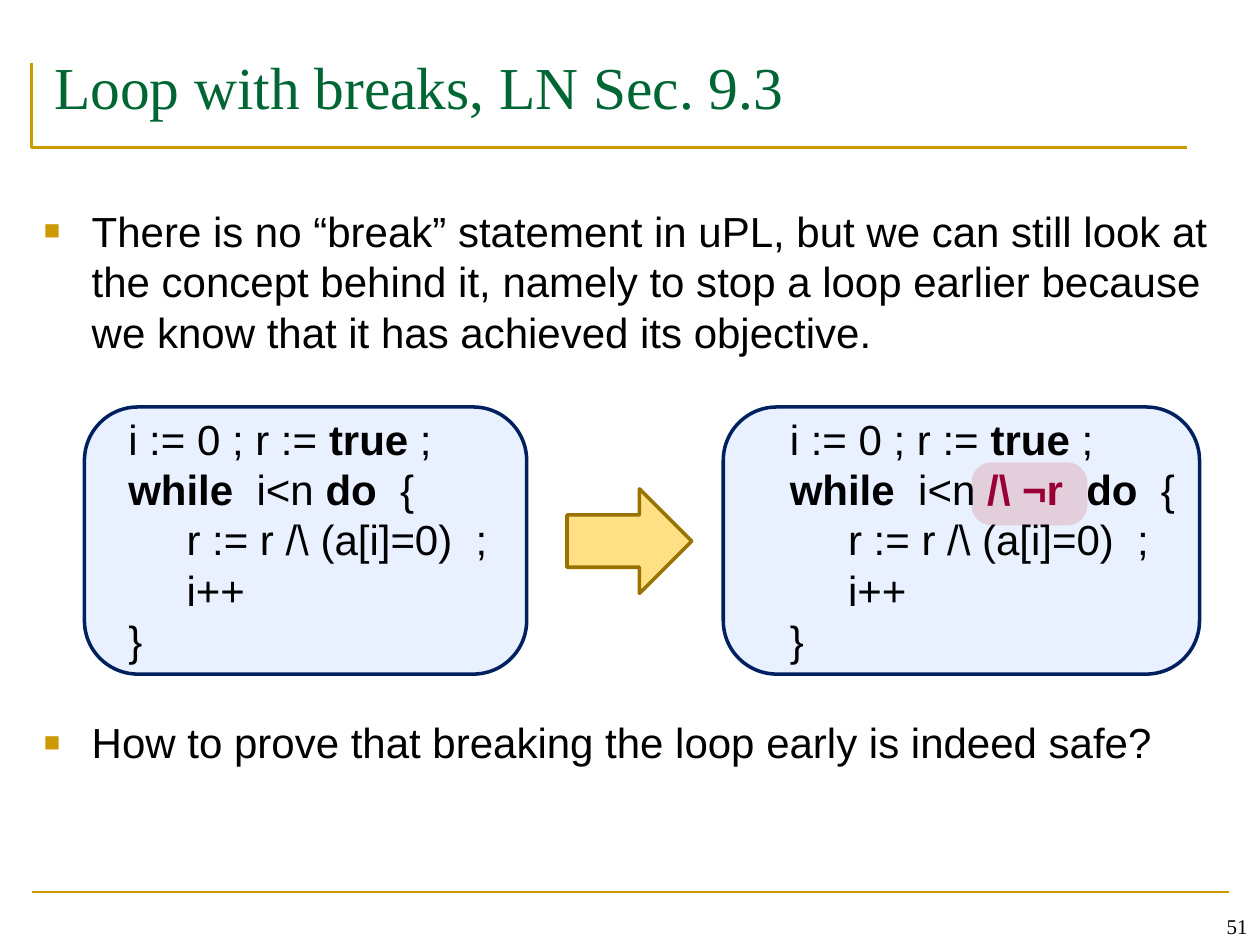
from lxml import etree
from pptx import Presentation
from pptx import util as u
from pptx.dml.color import RGBColor
from pptx.enum import shapes, text
from pptx.oxml.ns import qn

COLOURS = {
    "gold": "CC9900", "green": "006633", "black": "000000", "navy": "002060",
    "blue": "6699FF", "red": "C00000", "crimson": "990033",
    "sand": "FFE085", "bronze": "997300",
}


class SlideStyle:
    """Holds the style and the current slide, and draws each kind of element."""

    sans, serif = "Arial", "Times New Roman"
    size, leading = 24, 28.8

    def __init__(self, slide):
        self.slide = slide

    def colour(self, name):
        return RGBColor.from_string(COLOURS[name])

    def font(self, font, size, colour="black", family=None, bold=False):
        font.name = family or self.sans
        font.size = u.Pt(size)
        font.bold = bold
        font.color.rgb = self.colour(colour)

    def paint(self, shape, fill=None, line=None, width=2, alpha=None):
        shape.shadow.inherit = False
        if fill:
            shape.fill.solid()
            shape.fill.fore_color.rgb = self.colour(fill)
        else:
            shape.fill.background()
        if alpha:
            tint = shape.fill._xPr.find(".//" + qn("a:srgbClr"))
            etree.SubElement(tint, qn("a:alpha"), val=str(alpha * 1000))
        if line:
            shape.line.color.rgb = self.colour(line)
            shape.line.width = u.Pt(width)
        else:
            shape.line.fill.background()

    def shape(self, kind, area, adjustment=None, **paint):
        shape = self.slide.shapes.add_shape(kind, *map(u.Inches, area))
        if adjustment:
            shape.adjustments[0] = adjustment
        self.paint(shape, **paint)

    def outline(self, points):
        start, *rest = [tuple(map(u.Inches, point)) for point in points]
        builder = self.slide.shapes.build_freeform(*start)
        builder.add_line_segments(rest, close=False)
        self.paint(builder.convert_to_shape(), line="gold", width=1.5)

    def rule(self, *ends):
        line = self.slide.shapes.add_connector(
            shapes.MSO_CONNECTOR.STRAIGHT, *map(u.Inches, ends))
        line.line.color.rgb = self.colour("gold")
        line.line.width = u.Pt(1.5)
        etree.SubElement(line._element.spPr, qn("a:effectLst"))

    def title(self, words, area):
        box = self.slide.shapes.title
        box.left, box.top, box.width, box.height = map(u.Inches, area)
        frame = box.text_frame
        frame.text = words
        frame.vertical_anchor = text.MSO_ANCHOR.MIDDLE
        frame.margin_bottom = u.Inches(0.15)
        para = frame.paragraphs[0]
        para.alignment = text.PP_ALIGN.LEFT
        self.font(para.runs[0].font, 34, "green", self.serif)

    def frame(self, area, wrap=True):
        box = self.slide.shapes.add_textbox(*map(u.Inches, area))
        box.text_frame.word_wrap = wrap
        return box.text_frame

    def bullets(self, points, area, gap):
        frame = self.frame(area)
        frame.text = "\n".join(points)
        for index, para in enumerate(frame.paragraphs):
            props = para._p.get_or_add_pPr()
            props.set("marL", str(u.Inches(0.38)))
            props.set("indent", str(u.Inches(-0.38)))
            para.line_spacing = u.Pt(self.leading)
            if index:
                para.space_before = u.Pt(gap)
            colour = etree.SubElement(props, qn("a:buClr"))
            etree.SubElement(colour, qn("a:srgbClr"), val=COLOURS["gold"])
            etree.SubElement(props, qn("a:buSzPct"), val="65000")
            etree.SubElement(props, qn("a:buFont"), typeface=self.sans)
            etree.SubElement(props, qn("a:buChar"), char="■")
            self.font(para.runs[0].font, self.size)

    def code(self, lines, area):
        frame = self.frame(area, wrap=False)
        for index, line in enumerate(lines):
            para = frame.add_paragraph() if index else frame.paragraphs[0]
            para.line_spacing = u.Pt(self.leading)
            for words, bold, colour in line:
                span = para.add_run()
                span.text = words
                self.font(span.font, self.size, colour, bold=bold)

    def number(self, words, area):
        frame = self.frame(area)
        frame.text = words
        frame.vertical_anchor = text.MSO_ANCHOR.BOTTOM
        para = frame.paragraphs[0]
        para.alignment = text.PP_ALIGN.RIGHT
        self.font(para.runs[0].font, 12, family=self.serif)


def plain(words):
    return words, False, "black"


def strong(words, colour="black"):
    return words, True, colour


def loop(*guard):
    return [
        [plain("i := 0 ; r := "), strong("true"), plain(" ;")],
        [strong("while  "), plain("i<n "), *guard, strong("do"), plain("  {")],
        [plain("     r := r /\\ (a[i]=0)  ;")],
        [plain("     i++")],
        [plain("}")],
    ]


def main():
    deck = Presentation()
    deck.slide_width, deck.slide_height = u.Inches(10), u.Inches(7.5)
    page = SlideStyle(deck.slides.add_slide(deck.slide_layouts[5]))
    rounded = shapes.MSO_SHAPE.ROUNDED_RECTANGLE
    top, height = 3.23, 2.12

    page.outline([(0.25, 0.5), (0.25, 1.17), (9.42, 1.17)])
    page.rule(0.25, 7.08, 9.75, 7.08)
    for left, width in ((5.74, 3.78), (0.67, 3.51)):
        page.shape(rounded, (left, top, width, height), 0.2,
                   fill="blue", alpha=14, line="navy")
    page.shape(rounded, (7.71, 3.67, 0.92, 0.5), 0.32, fill="red", alpha=14)

    page.title("Loop with breaks, LN Sec. 9.3", (0.33, 0.3, 9.33, 0.86))
    page.bullets([
        "There is no “break” statement in uPL, but we can still look at the "
        "concept behind it, namely to stop a loop earlier because we know "
        "that it has achieved its objective.",
        "How to prove that breaking the loop early is indeed safe?",
    ], (0.25, 1.58, 9.5, 5.42), gap=206)
    page.number("51", (7.67, 7, 2.33, 0.5))

    page.code(loop(), (0.92, top, 3.26, height))
    page.code(loop(strong("/\\ ¬r  ", "crimson")), (6.17, top, 3.35, height))
    page.shape(shapes.MSO_SHAPE.RIGHT_ARROW, (4.5, 3.88, 0.99, 0.83),
               fill="sand", line="bronze")
    deck.save("out.pptx")


if __name__ == "__main__":
    main()
